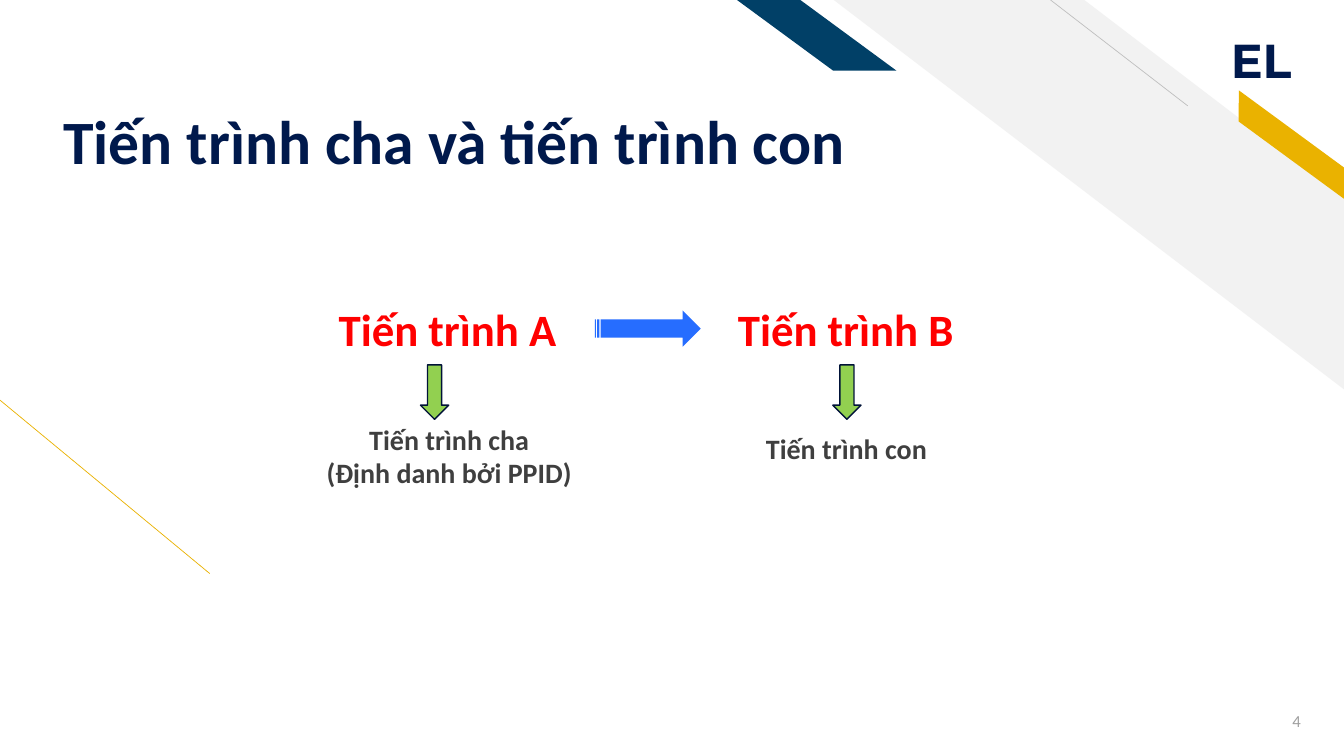
"""Build the slide on parent and child processes."""
import pptx
import pptx.dml.color
import pptx.enum.shapes
import pptx.enum.text
import pptx.oxml.ns
import pptx.util
from lxml import etree

Inches = pptx.util.Inches
Pt = pptx.util.Pt
RGB = pptx.dml.color.RGBColor
KIND = pptx.enum.shapes.MSO_SHAPE
LINE = pptx.enum.shapes.MSO_CONNECTOR
ALIGN = pptx.enum.text.PP_ALIGN
ANCHOR = pptx.enum.text.MSO_ANCHOR

NAVY = RGB(0x00, 0x19, 0x4C)
TEAL = RGB(0x01, 0x40, 0x67)
GOLD = RGB(0xEA, 0xB2, 0x00)
PALE = RGB(0xF2, 0xF2, 0xF2)
SILVER = RGB(0xBF, 0xBF, 0xBF)
GREY = RGB(0x9F, 0x9F, 0x9F)
DARK = RGB(0x3F, 0x3F, 0x3F)
RED = RGB(0xFF, 0x00, 0x00)
BLUE = RGB(0x26, 0x6D, 0xFF)
GREEN = RGB(0x92, 0xD0, 0x50)
EDGE = RGB(0x00, 0x12, 0x38)

TITLE = "Tiến trình cha và tiến trình con"
MARK = "EL"
PAGE = "4"
STEPS = [
    {"name": "Tiến trình A", "box": (3.26, 2.94, 2.38, 0.64), "arrow": 4.17,
     "role": ["Tiến trình cha", "(Định danh bởi PPID)"],
     "note": (3.13, 4.14, 2.65, 0.77)},
    {"name": "Tiến trình B", "box": (7.22, 2.94, 2.36, 0.64), "arrow": 8.26,
     "role": ["Tiến trình con"], "note": (7.49, 4.23, 1.81, 0.44)},
]

deck = pptx.Presentation()
deck.slide_width, deck.slide_height = Inches(13.33), Inches(7.5)
slide = deck.slides.add_slide(deck.slide_layouts[6])


def draw(kind, box, fill, adj=None, turn=0, flip=False, edge=None):
    shape = slide.shapes.add_shape(kind, *map(Inches, box))
    shape.shadow.inherit = False
    shape.fill.solid()
    shape.fill.fore_color.rgb = fill
    if edge:
        shape.line.color.rgb = edge
        shape.line.width = Pt(1)
    else:
        shape.line.fill.background()
    if adj:
        shape.adjustments[0] = adj
    shape.rotation = turn
    if flip:
        shape.element.spPr.get_or_add_xfrm().set("flipH", "1")


def rule(start, end, color):
    line = slide.shapes.add_connector(LINE.STRAIGHT, *map(Inches, start + end))
    line.line.color.rgb = color
    line.line.width = Pt(0.5)
    etree.SubElement(line.element.spPr, pptx.oxml.ns.qn("a:effectLst"))


def write(lines, box, size, color, font="Calibri", bold=True,
          align=ALIGN.LEFT, anchor=ANCHOR.TOP, wrap=False):
    frame = slide.shapes.add_textbox(*map(Inches, box)).text_frame
    frame.word_wrap = wrap
    frame.vertical_anchor = anchor
    frame.text = "\n".join(lines)
    for para in frame.paragraphs:
        para.alignment = align
        para.font.name = font
        para.font.size = Pt(size)
        para.font.bold = bold
        para.font.color.rgb = color
    return frame


rule((2.08, 5.69), (0, 3.97), GOLD)
draw(KIND.DIAGONAL_STRIPE, (8.27, 0, 5.07, 3.87), PALE, 0.51, flip=True)
rule((11.78, 1.05), (10.42, 0), SILVER)
draw(KIND.PARALLELOGRAM, (12.07, 1.31, 1.48, 0.25), GOLD, 0.72, 36.3, True)
mark = write([MARK], (12.11, 0.26, 1.1, 0.67), 34, NAVY, "Montserrat")
mark.margin_right = 0
draw(KIND.PARALLELOGRAM, (7.31, 0, 1.58, 0.7), TEAL, 1.36, flip=True)

head = write([TITLE], (0.53, 0.91, 8.68, 0.85), 44, NAVY,
             anchor=ANCHOR.BOTTOM, wrap=True)
head.margin_bottom = 0
head.paragraphs[0].line_spacing = 0.9
write([PAGE], (12.19, 6.95, 0.81, 0.4), 12, GREY, bold=False,
      align=ALIGN.RIGHT, anchor=ANCHOR.MIDDLE, wrap=True)

draw(KIND.STRIPED_RIGHT_ARROW, (5.9, 3.08, 1.05, 0.36), BLUE)
for step in STEPS:
    write([step["name"]], step["box"], 32, RED)
    draw(KIND.DOWN_ARROW, (step["arrow"], 3.62, 0.28, 0.54), GREEN, edge=EDGE)
    write(step["role"], step["note"], 20, DARK, align=ALIGN.CENTER)

deck.save("out.pptx")
